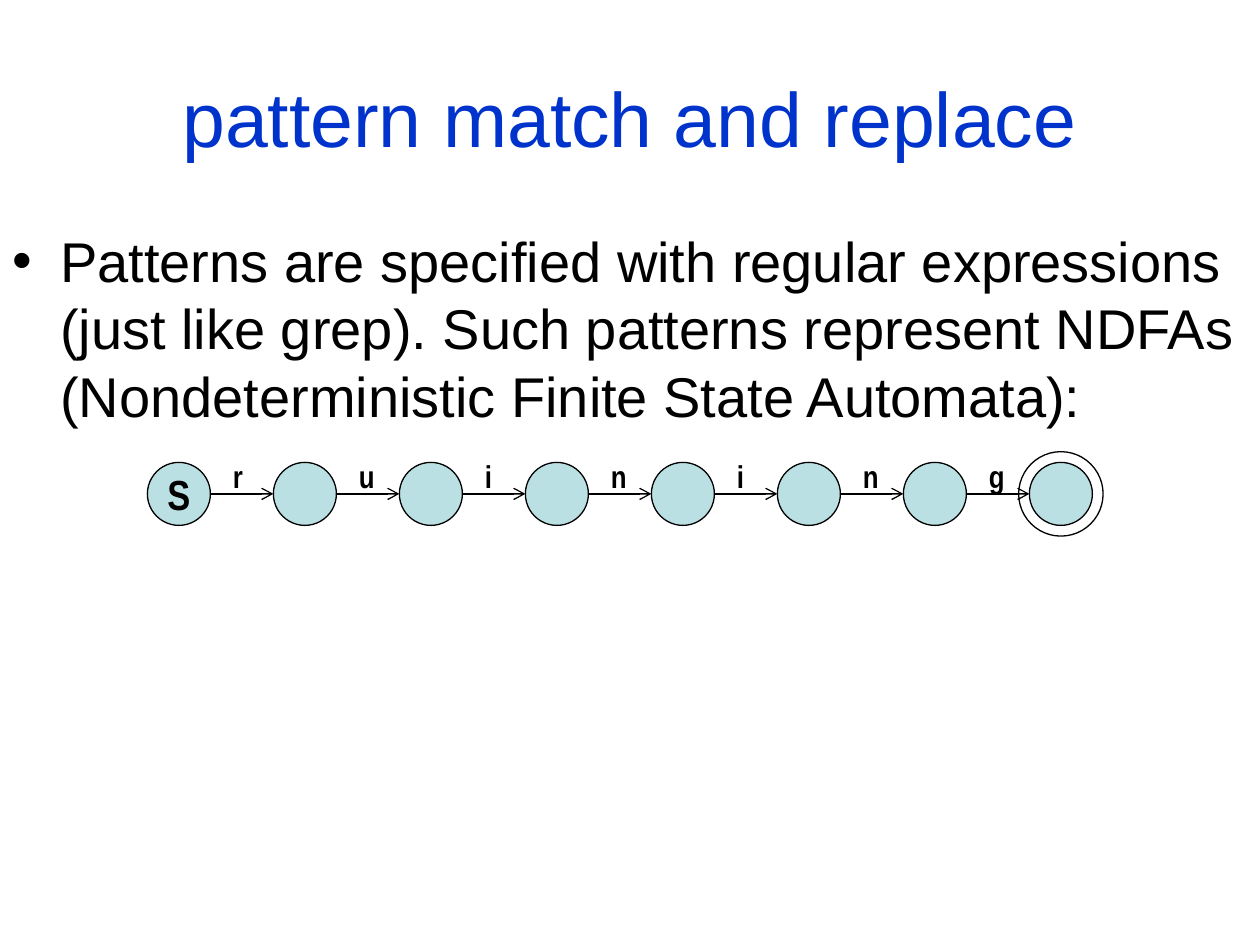
from pptx import Presentation
from pptx.dml.color import RGBColor
from pptx.enum.shapes import MSO_CONNECTOR, MSO_SHAPE
from pptx.enum.text import MSO_ANCHOR, PP_ALIGN
from pptx.oxml.ns import qn
from pptx.util import Inches, Pt
from lxml.etree import SubElement

BLACK = RGBColor(0x00, 0x00, 0x00)
BLUE = RGBColor(0x00, 0x33, 0xCC)
TEAL = RGBColor(0xBB, 0xE0, 0xE3)

TITLE = {"name": "Arial", "size": Pt(44), "bold": False}
BODY = {"name": "Arial", "size": Pt(32), "bold": False}
START = {"name": "Arial Narrow", "size": Pt(24), "bold": True}
LABEL = {"name": "Arial Narrow", "size": Pt(18), "bold": True}

WORD = "ruining"
LEFT, TOP, SIZE, STEP = 1.17, 3.67, 0.5, 1
MID = TOP + SIZE / 2
RING = 0.67

deck = Presentation()
deck.slide_width, deck.slide_height = Inches(10), Inches(7.5)
slide = deck.slides.add_slide(deck.slide_layouts[6])
shapes = slide.shapes


def write(shape, text, style, color=BLACK, align=PP_ALIGN.LEFT):
    """Put styled text in a shape and return its paragraph."""
    shape.text_frame.word_wrap = True
    para = shape.text_frame.paragraphs[0]
    para.alignment = align
    run = para.add_run()
    run.text = text
    for key, value in style.items():
        setattr(run.font, key, value)
    run.font.color.rgb = color
    return para


def circle(left, top, size, fill=None):
    """Draw an outlined circle, filled if a colour is given."""
    shape = shapes.add_shape(MSO_SHAPE.OVAL, Inches(left), Inches(top),
                             Inches(size), Inches(size))
    shape.shadow.inherit = False
    if fill is None:
        shape.fill.background()
    else:
        shape.fill.solid()
        shape.fill.fore_color.rgb = fill
    shape.line.color.rgb = BLACK
    shape.line.width = Pt(0.75)
    return shape


# Title and bullet
title = shapes.add_textbox(Inches(0.5), Inches(0.3), Inches(9), Inches(1.25))
title.text_frame.vertical_anchor = MSO_ANCHOR.MIDDLE
write(title, "pattern match and replace", TITLE, BLUE, PP_ALIGN.CENTER)

body = shapes.add_textbox(Inches(0), Inches(1.75), Inches(10), Inches(5.75))
para = write(body, "Patterns are specified with regular expressions (just like "
             "grep). Such patterns represent NDFAs (Nondeterministic Finite "
             "State Automata):", BODY)
para.space_before = Pt(3.6)
props = para._p.get_or_add_pPr()
props.set("marL", str(Inches(0.38)))
props.set("indent", str(Inches(-0.38)))
SubElement(props, qn("a:buFont"), typeface="Arial")
SubElement(props, qn("a:buChar"), char="•")

# Start state
start = circle(LEFT, TOP, SIZE, TEAL)
frame = start.text_frame
for side in ("left", "right", "top", "bottom"):
    setattr(frame, "margin_" + side, 0)
frame.vertical_anchor = MSO_ANCHOR.MIDDLE
write(start, "S", START, align=PP_ALIGN.CENTER)

# One state, arrow and label for each letter
for pos, letter in enumerate(WORD):
    left = LEFT + pos * STEP
    circle(left + STEP, TOP, SIZE, TEAL)

    arrow = shapes.add_connector(MSO_CONNECTOR.STRAIGHT, Inches(left + SIZE),
                                 Inches(MID), Inches(left + STEP), Inches(MID))
    arrow.line.color.rgb = BLACK
    arrow.line.width = Pt(0.75)
    SubElement(arrow.line._get_or_add_ln(), qn("a:tailEnd"), type="arrow")
    SubElement(arrow._element.spPr, qn("a:effectLst"))

    label = shapes.add_textbox(Inches(left + 0.58), Inches(3.58),
                               Inches(0.25), Inches(0.25))
    write(label, letter, LABEL)

# Ring around the final state
gap = (RING - SIZE) / 2
circle(LEFT + len(WORD) * STEP - gap, TOP - gap, RING)

deck.save("out.pptx")
